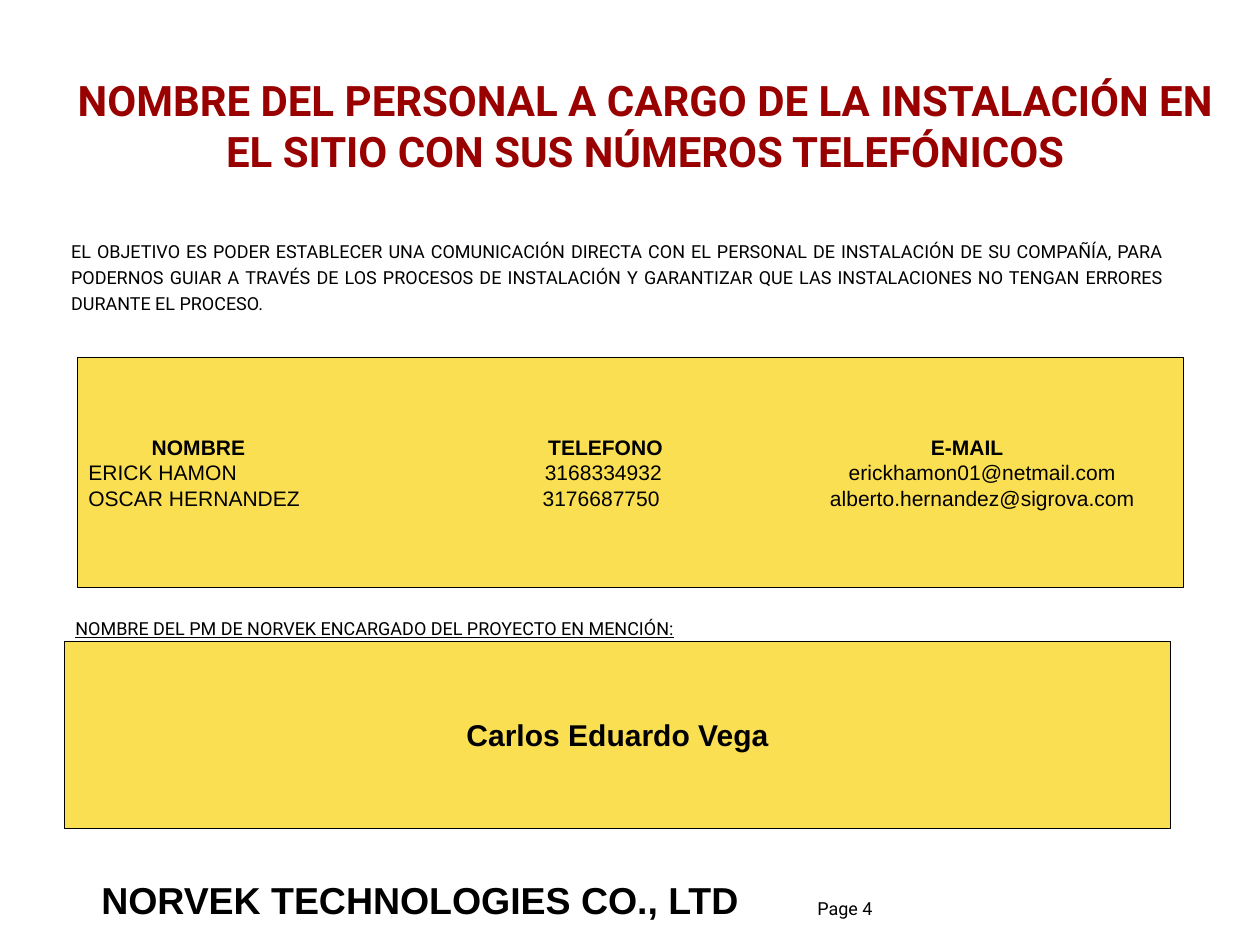
from dataclasses import dataclass

from lxml.etree import SubElement
from pptx import Presentation
from pptx.dml.color import RGBColor
from pptx.enum.shapes import MSO_SHAPE
from pptx.enum.text import MSO_ANCHOR, PP_ALIGN
from pptx.oxml.ns import qn
from pptx.util import Inches, Pt


@dataclass(frozen=True)
class Theme:
    """Colours, fonts and type sizes of the slide."""
    black: RGBColor = RGBColor(0, 0, 0)
    title_red: RGBColor = RGBColor(0x99, 0, 0)
    panel_yellow: RGBColor = RGBColor(0xFB, 0xDF, 0x53)
    text_font: str = "Roboto"
    panel_font: str = "Arial"
    title_size: int = 28
    company_size: int = 25
    manager_size: int = 20
    contact_size: int = 14
    text_size: int = 12


THEME = Theme()
CONTACT_ROWS = [
    ("\tNOMBRE\tTELEFONO\tE-MAIL", (1.02, 4.79, 8.14), True),
    ("ERICK HAMON\t3168334932\terickhamon01@netmail.com", (4.77, 8.28), False),
    ("OSCAR HERNANDEZ\t3176687750\talberto.hernandez@sigrova.com", (4.75, 8.28), False),
]


def add_words(paragraph, words, size, font=THEME.text_font, color=THEME.black, bold=False, underline=False):
    """Add one styled run to a paragraph."""
    run = paragraph.add_run()
    run.text = words
    run.font.name = font
    run.font.size = Pt(size)
    run.font.color.rgb = color
    run.font.bold = bold
    run.font.underline = underline


def add_text_box(slide, box, anchor=MSO_ANCHOR.TOP):
    """Add a wrapping text box and return its text frame."""
    frame = slide.shapes.add_textbox(*map(Inches, box)).text_frame
    frame.word_wrap = True
    frame.vertical_anchor = anchor
    return frame


def add_panel(slide, box):
    """Add a yellow outlined panel and return its text frame."""
    shape = slide.shapes.add_shape(MSO_SHAPE.RECTANGLE, *map(Inches, box))
    shape.shadow.inherit = False
    shape.fill.solid()
    shape.fill.fore_color.rgb = THEME.panel_yellow
    shape.line.color.rgb = THEME.black
    shape.line.width = Pt(0.75)
    frame = shape.text_frame
    frame.word_wrap = True
    frame.vertical_anchor = MSO_ANCHOR.MIDDLE
    return frame


def add_center_tabs(paragraph, positions):
    """Set centred tab stops, in inches from the text edge."""
    tab_list = SubElement(paragraph._p.get_or_add_pPr(), qn("a:tabLst"))
    for position in positions:
        SubElement(tab_list, qn("a:tab"), pos=str(Inches(position)), algn="ctr")


def add_title(slide, box):
    """Add the centred red title."""
    paragraph = add_text_box(slide, box, MSO_ANCHOR.MIDDLE).paragraphs[0]
    paragraph.alignment = PP_ALIGN.CENTER
    add_words(paragraph, "NOMBRE DEL PERSONAL A CARGO DE LA INSTALACIÓN EN EL SITIO CON SUS NÚMEROS TELEFÓNICOS",
              THEME.title_size, color=THEME.title_red, bold=True)


def add_statement(slide, box, words, underline=False):
    """Add a justified statement."""
    paragraph = add_text_box(slide, box).paragraphs[0]
    paragraph.alignment = PP_ALIGN.JUSTIFY
    paragraph.line_spacing = 1.2
    paragraph.space_before = Pt(3)
    add_words(paragraph, words, THEME.text_size, underline=underline)


def add_contacts(slide, box):
    """Add the panel that lists the site contacts in tabbed columns."""
    frame = add_panel(slide, box)
    for index, (words, tabs, bold) in enumerate(CONTACT_ROWS):
        paragraph = frame.add_paragraph() if index else frame.paragraphs[0]
        paragraph.alignment = PP_ALIGN.LEFT
        add_center_tabs(paragraph, tabs)
        add_words(paragraph, words, THEME.contact_size, THEME.panel_font, bold=bold)


def add_manager(slide, box):
    """Add the panel that names the project manager."""
    paragraph = add_panel(slide, box).paragraphs[0]
    paragraph.alignment = PP_ALIGN.CENTER
    add_words(paragraph, "Carlos Eduardo Vega", THEME.manager_size, THEME.panel_font, bold=True)


def add_footer(slide, box):
    """Add the company name and the page number."""
    left, top, width, height = box
    company = add_text_box(slide, (left, top, 6.4, height)).paragraphs[0]
    add_words(company, "NORVEK TECHNOLOGIES CO., LTD", THEME.company_size, THEME.panel_font, bold=True)
    page_width = 1.35
    frame = add_text_box(slide, (left + width - page_width, top + 0.27, page_width, 0.25))
    frame.margin_left = frame.margin_right = frame.margin_top = frame.margin_bottom = 0
    page = frame.paragraphs[0]
    page.line_spacing = 0.85
    add_words(page, "Page 4", THEME.text_size)


def main():
    """Build and save the contact slide."""
    presentation = Presentation()
    presentation.slide_width = Inches(11.67)
    presentation.slide_height = Inches(8.75)
    slide = presentation.slides.add_slide(presentation.slide_layouts[6])
    add_title(slide, (0.56, 0.44, 10.83, 1.44))
    add_statement(slide, (0.56, 2.14, 10.32, 0.83),
                  "EL OBJETIVO ES PODER ESTABLECER UNA COMUNICACIÓN DIRECTA CON EL PERSONAL DE INSTALACIÓN "
                  "DE SU COMPAÑÍA, PARA PODERNOS GUIAR A TRAVÉS DE LOS PROCESOS DE INSTALACIÓN Y GARANTIZAR "
                  "QUE LAS INSTALACIONES NO TENGAN ERRORES DURANTE EL PROCESO.")
    add_contacts(slide, (0.72, 3.31, 10.24, 2.13))
    add_statement(slide, (0.6, 5.63, 10.79, 0.39),
                  "NOMBRE DEL PM DE NORVEK ENCARGADO DEL PROYECTO EN MENCIÓN:", underline=True)
    add_manager(slide, (0.6, 5.94, 10.24, 1.73))
    add_footer(slide, (0.84, 8.07, 8.08, 0.52))
    presentation.save("out.pptx")


if __name__ == "__main__":
    main()
